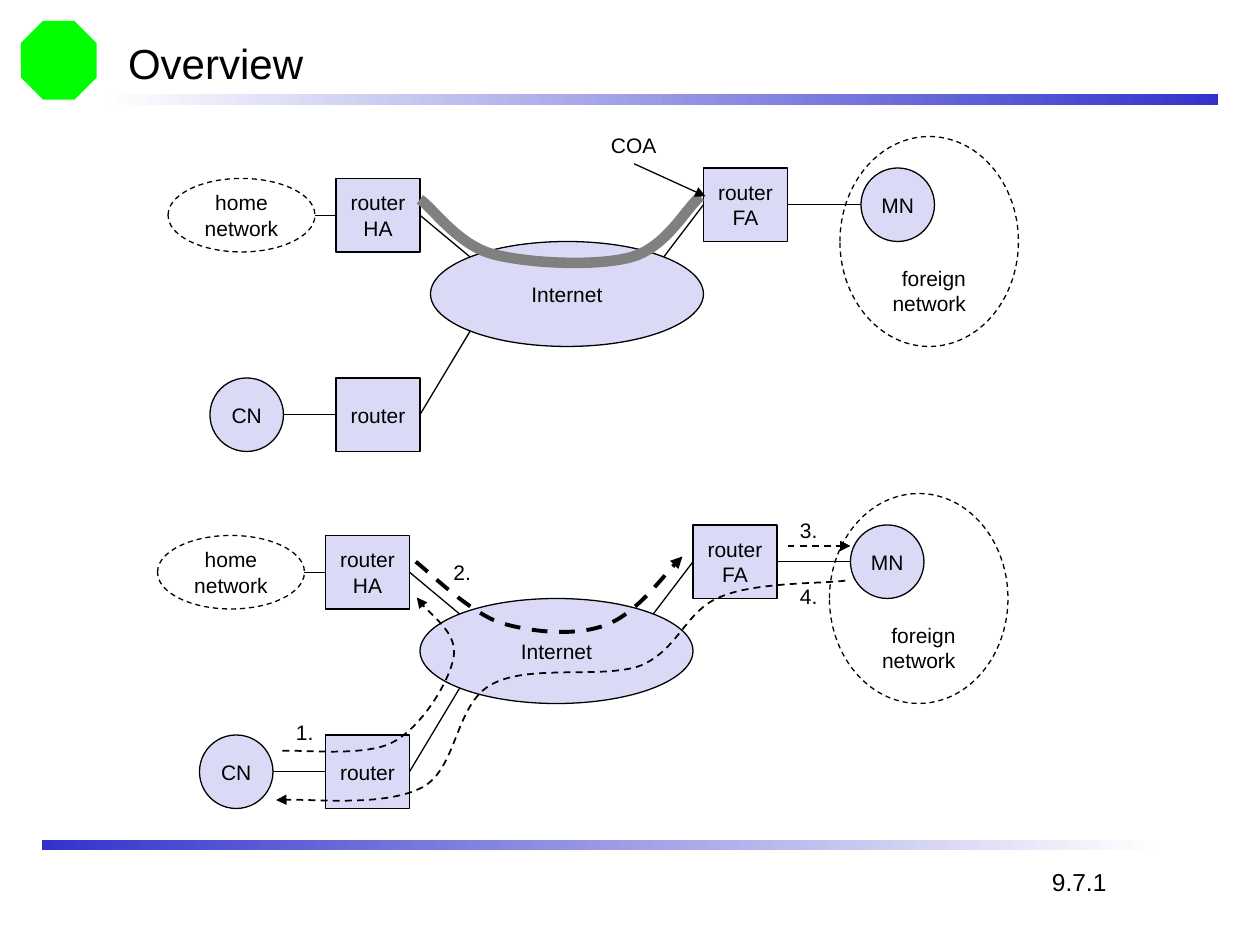
from dataclasses import dataclass

from lxml.etree import SubElement
from pptx import Presentation
from pptx.dml.color import RGBColor
from pptx.enum.dml import MSO_LINE
from pptx.enum.shapes import MSO_CONNECTOR, MSO_SHAPE as SHAPE
from pptx.enum.text import MSO_ANCHOR as ANCHOR, MSO_AUTO_SIZE, PP_ALIGN as ALIGN
from pptx.oxml.ns import qn
from pptx.util import Pt

PX = 7620  # EMU per px, 120 px to the inch
COLORS = {"ink": "000000", "node": "DADAF6", "bar": "3333CC",
          "fade": "FEFEFE", "tunnel": "808080", "badge": "00FF00"}
TOP, LEFT, BOTTOM, RIGHT = range(4)
Point = tuple[int, int]


@dataclass
class Node:
    name: str
    text: str
    kind: SHAPE
    x: int
    y: int
    w: int
    h: int
    outline_only: bool = False
    inside_corner: bool = False


@dataclass
class Link:
    """Line from the side of a router box to a point on a round node."""
    router: str
    side: int
    end: Point


@dataclass
class Label:
    text: str
    x: int
    y: int
    w: int = 42
    h: int = 36
    size: int = 12


@dataclass
class Curve:
    """Start point, then three points for each Bezier segment."""
    points: list[Point]
    width: float = 1
    color: str = "ink"
    dashed: bool = True
    arrow: bool = True


NODES = [
    Node("cn", "CN", SHAPE.OVAL, 200, 360, 70, 70),
    Node("ha", "router\nHA", SHAPE.RECTANGLE, 320, 170, 80, 70),
    Node("fa", "router\nFA", SHAPE.RECTANGLE, 670, 160, 80, 70),
    Node("internet", "Internet", SHAPE.OVAL, 410, 230, 260, 100),
    Node("router", "router", SHAPE.RECTANGLE, 320, 360, 80, 70),
    Node("home", "home\nnetwork", SHAPE.OVAL, 160, 170, 140, 70, outline_only=True),
    Node("mn", "MN", SHAPE.OVAL, 820, 160, 70, 70),
    Node("foreign", "foreign\nnetwork", SHAPE.OVAL, 800, 130, 170, 200,
         outline_only=True, inside_corner=True),
]
LINKS = [
    Link("router", RIGHT, (448, 315)), Link("ha", RIGHT, (448, 245)),
    Link("fa", LEFT, (632, 245)), Link("router", LEFT, (270, 395)),
    Link("fa", RIGHT, (820, 195)), Link("ha", LEFT, (300, 205)),
]
NETWORK_SHIFTS = [(0, 0), (-10, 340)]
CURVES = [
    Curve([(400, 190), (412, 198), (436, 233), (469, 242), (503, 251), (568, 254),
           (601, 245), (634, 236), (653, 199), (667, 187)],
          6, "tunnel", dashed=False, arrow=False),
    Curve([(269, 715), (286, 714), (348, 721), (374, 707), (402, 692), (428, 649),
           (432, 626), (436, 604), (404, 581), (397, 569)]),
    Curve([(396, 535), (409, 545), (446, 582), (476, 593), (506, 602), (546, 606),
           (575, 596), (604, 586), (635, 544), (650, 530)], 2.25),
    Curve([(805, 553), (785, 556), (718, 554), (685, 569), (653, 582), (646, 619),
           (610, 634), (574, 647), (503, 632), (468, 652), (433, 671), (436, 732),
           (402, 750), (367, 768), (292, 760), (263, 762)]),
]
LABELS = [
    Label("1.", 270, 679), Label("2.", 420, 527), Label("3.", 750, 487),
    Label("4.", 750, 550), Label("COA", 570, 120, 68),
    Label("9.7.1", 990, 820, 76, 41, 14),
]


def rgb(name: str) -> RGBColor:
    return RGBColor.from_string(COLORS[name])


def emu(*lengths: int) -> list[int]:
    return [n * PX for n in lengths]


def format_text(tf, size: int, align=ALIGN.LEFT) -> None:
    for p in tf.paragraphs:
        p.alignment = align
        p.font.name, p.font.size = "Arial", Pt(size)
        p.font.color.rgb = rgb("ink")


def format_line(line, width: float = 0.75, color: str = "ink",
                dashed: bool = False, arrow: bool = False) -> None:
    line.color.rgb = rgb(color)
    line.width = Pt(width)
    if dashed:
        line.dash_style = MSO_LINE.DASH
    if arrow:
        SubElement(line._get_or_add_ln(), qn("a:tailEnd"), type="triangle")


def add_plain(slide, kind: SHAPE, x: int, y: int, w: int, h: int):
    sp = slide.shapes.add_shape(kind, *emu(x, y, w, h))
    sp.shadow.inherit = False
    return sp


def add_bar(slide, x: int, y: int, left: str, right: str) -> None:
    sp = add_plain(slide, SHAPE.RECTANGLE, x, y, 1060, 10)
    sp.line.fill.background()
    sp.fill.gradient()
    sp.fill.gradient_angle = 0
    for stop, color in zip(sp.fill.gradient_stops, (left, right)):
        stop.color.rgb = rgb(color)


def add_node(slide, node: Node, dx: int, dy: int):
    sp = add_plain(slide, node.kind, node.x + dx, node.y + dy, node.w, node.h)
    if node.outline_only:
        sp.fill.background()
    else:
        sp.fill.solid()
        sp.fill.fore_color.rgb = rgb("node")
    format_line(sp.line, dashed=node.outline_only)
    tf = sp.text_frame
    tf.text, tf.word_wrap = node.text, False
    tf.vertical_anchor = ANCHOR.MIDDLE
    if node.inside_corner:
        tf.vertical_anchor = ANCHOR.BOTTOM
        tf.margin_left = tf.margin_top = tf.margin_bottom = 0
        tf.margin_right = 25 * PX
    format_text(tf, 12, ALIGN.RIGHT if node.inside_corner else ALIGN.CENTER)
    return sp


def add_line(slide, start: Point, end: Point, **style):
    cxn = slide.shapes.add_connector(MSO_CONNECTOR.STRAIGHT, *emu(*start, *end))
    format_line(cxn.line, **style)
    SubElement(cxn._element.spPr, qn("a:effectLst"))
    return cxn


def add_network(slide, dx: int, dy: int) -> None:
    shapes = {node.name: add_node(slide, node, dx, dy) for node in NODES}
    for link in LINKS:
        end = link.end[0] + dx, link.end[1] + dy
        add_line(slide, end, end).begin_connect(shapes[link.router], link.side)


def add_curve(slide, curve: Curve) -> None:
    """Build a freeform through all points, then turn each three lines into a Bezier."""
    builder = slide.shapes.build_freeform(*curve.points[0], scale=PX)
    builder.add_line_segments(curve.points[1:], close=False)
    sp = builder.convert_to_shape()
    lines = list(sp._element.iter(qn("a:lnTo")))
    for i in range(0, len(lines), 3):
        bezier = SubElement(lines[i].getparent(), qn("a:cubicBezTo"))
        for line in lines[i:i + 3]:
            bezier.append(line[0])
            line.getparent().remove(line)
    sp.shadow.inherit = False
    sp.fill.background()
    format_line(sp.line, curve.width, curve.color, curve.dashed, curve.arrow)


def add_label(slide, label: Label) -> None:
    tf = slide.shapes.add_textbox(*emu(label.x, label.y, label.w, label.h)).text_frame
    tf.text, tf.word_wrap = label.text, False
    tf.auto_size = MSO_AUTO_SIZE.SHAPE_TO_FIT_TEXT
    format_text(tf, label.size)


def set_title(slide, text: str) -> None:
    title = slide.shapes.title
    title.left, title.top, title.width, title.height = emu(110, 30, 1020, 60)
    title.text_frame.text = text
    title.text_frame.vertical_anchor = ANCHOR.MIDDLE
    format_text(title.text_frame, 24)


def main() -> None:
    prs = Presentation()
    prs.slide_width, prs.slide_height = emu(1200, 900)
    slide = prs.slides.add_slide(prs.slide_layouts[5])
    set_title(slide, "Overview")
    badge = add_plain(slide, SHAPE.OCTAGON, 20, 20, 72, 75)
    badge.fill.solid()
    badge.fill.fore_color.rgb = rgb("badge")
    badge.line.fill.background()
    add_bar(slide, 100, 90, "fade", "bar")
    add_bar(slide, 40, 800, "bar", "fade")
    for dx, dy in NETWORK_SHIFTS:
        add_network(slide, dx, dy)
    for curve in CURVES:
        add_curve(slide, curve)
    add_line(slide, (750, 520), (810, 520), width=1, dashed=True, arrow=True)
    add_line(slide, (604, 156), (672, 187), arrow=True)
    for label in LABELS:
        add_label(slide, label)
    prs.save("out.pptx")


if __name__ == "__main__":
    main()
